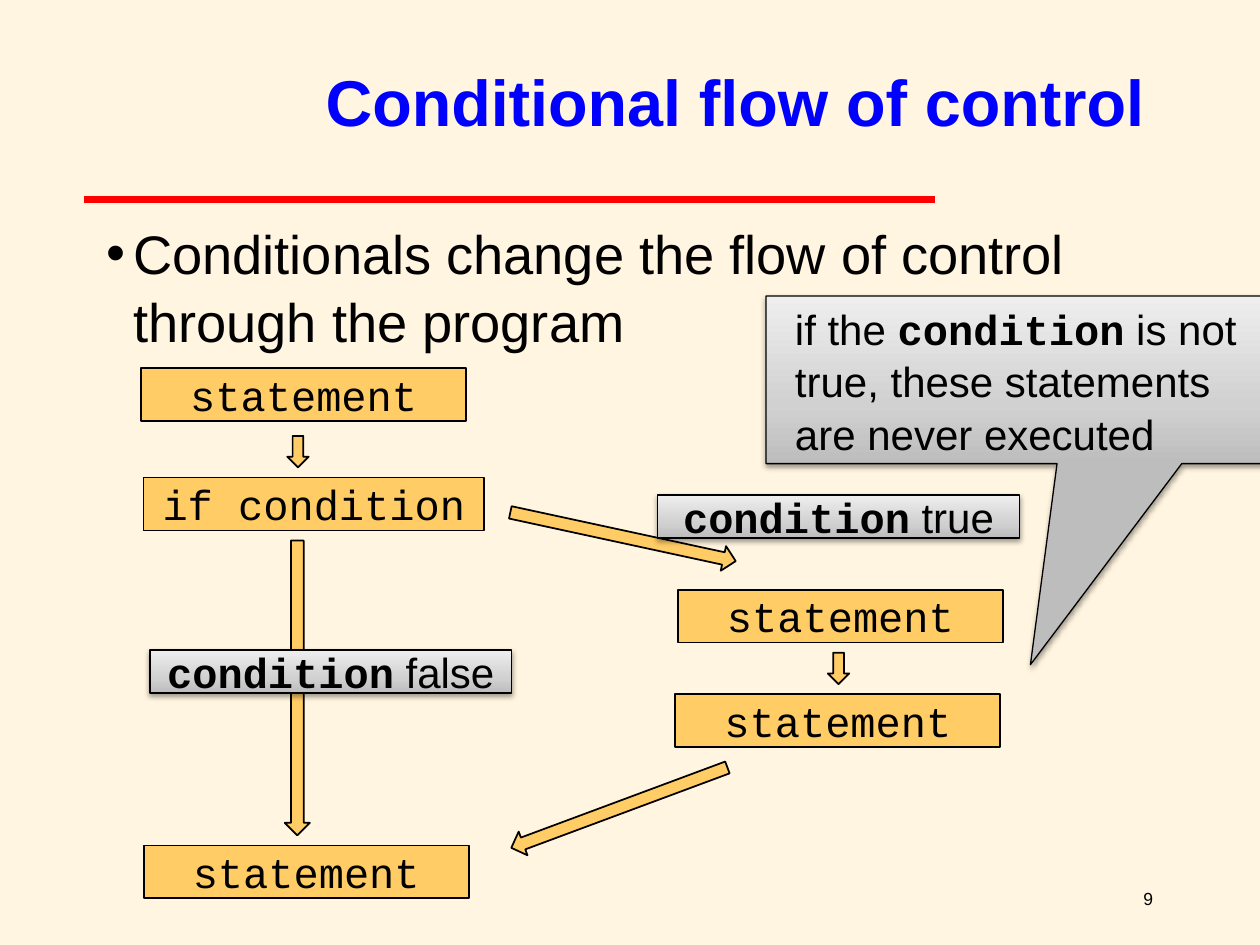
from lxml import etree
from pptx import Presentation
from pptx.dml.color import RGBColor
from pptx.enum.shapes import MSO_CONNECTOR, MSO_SHAPE
from pptx.enum.text import MSO_ANCHOR as Anchor, PP_ALIGN as Align
from pptx.oxml import parse_xml
from pptx.oxml.ns import nsdecls, qn
from pptx.util import Inches, Pt

COLORS = {
    "background": "FFF5E0",
    "rule": "FF0000",
    "title": "0000FF",
    "text": "000000",
    "flow": "FFCC66",
    "outline": "000000",
}
CALLOUT_STOPS = [(0, "BDBDBD"), (35, "D1D1D1"), (100, "EEEEEE")]
SANS, MONO = "Arial", "Courier New"


def color(name):
    return RGBColor.from_string(COLORS[name])


def write_text(frame, spans, size=24, tone="text", align=Align.CENTER,
               anchor=Anchor.MIDDLE, wrap=True, spacing=None):
    frame.word_wrap = wrap
    frame.vertical_anchor = anchor
    para = frame.paragraphs[0]
    para.alignment = align
    para.line_spacing = spacing
    for text, font, bold in spans:
        span = para.add_run()
        span.text = text
        span.font.name = font
        span.font.size = Pt(size)
        span.font.bold = bold
        span.font.color.rgb = color(tone)
    return para


def add_preset(page, kind, left, top, width, height, line_width=1):
    shape = page.shapes.add_shape(
        kind, Inches(left), Inches(top), Inches(width), Inches(height))
    shape.shadow.inherit = False
    shape.fill.solid()
    shape.fill.fore_color.rgb = color("flow")
    shape.line.color.rgb = color("outline")
    shape.line.width = Pt(line_width)
    return shape


def add_step(page, text, left, top, width=2.58):
    box = add_preset(page, MSO_SHAPE.RECTANGLE, left, top, width, 0.42)
    write_text(box.text_frame, [(text, MONO, False)])


def add_arrow(page, left, top, width, height, rotation):
    arrow = add_preset(page, MSO_SHAPE.RIGHT_ARROW, left, top, width, height)
    arrow.rotation = rotation


def add_callout(page, spans, left, top, width, height, tip, **text_format):
    callout = add_preset(page, MSO_SHAPE.RECTANGULAR_CALLOUT,
                         left, top, width, height, 0.75)
    callout.adjustments[0], callout.adjustments[1] = tip
    stops = "".join(
        f'<a:gs pos="{place * 1000}"><a:srgbClr val="{tone}"/></a:gs>'
        for place, tone in CALLOUT_STOPS)
    properties = callout.element.spPr
    properties.replace(properties.find(qn("a:solidFill")), parse_xml(
        f'<a:gradFill {nsdecls("a")} rotWithShape="1"><a:gsLst>{stops}</a:gsLst>'
        '<a:lin ang="16200000" scaled="1"/></a:gradFill>'))
    properties.find(qn("a:effectLst")).append(parse_xml(
        f'<a:outerShdw {nsdecls("a")} blurRad="{Pt(3.1)}" dist="{Pt(1.6)}" '
        'dir="5400000" rotWithShape="0"><a:srgbClr val="000000">'
        '<a:alpha val="38000"/></a:srgbClr></a:outerShdw>'))
    write_text(callout.text_frame, spans, **text_format)
    return callout


def add_rule(page):
    rule = page.shapes.add_connector(
        MSO_CONNECTOR.STRAIGHT, Inches(0.67), Inches(1.58), Inches(7.42), Inches(1.58))
    rule.line.color.rgb = color("rule")
    rule.line.width = Pt(4)
    etree.SubElement(rule.element.spPr, qn("a:effectLst"))


def add_title(page, text):
    title = page.shapes.title
    title.left, title.top = Inches(2.42), Inches(0.21)
    title.width, title.height = Inches(6.83), Inches(1.17)
    write_text(title.text_frame, [(text, SANS, True)], size=37, tone="title")


def add_text_box(page, text, left, top, width, height, **text_format):
    box = page.shapes.add_textbox(
        Inches(left), Inches(top), Inches(width), Inches(height))
    return write_text(box.text_frame, [(text, SANS, False)], **text_format)


def add_bullet(para, indent):
    properties = para._p.get_or_add_pPr()
    properties.set("marL", str(Inches(indent)))
    properties.set("indent", str(-Inches(indent)))
    etree.SubElement(properties, qn("a:buFont"), typeface=SANS)
    etree.SubElement(properties, qn("a:buChar"), char="•")


def main():
    deck = Presentation()
    deck.slide_width, deck.slide_height = Inches(10), Inches(7.5)
    page = deck.slides.add_slide(deck.slide_layouts[5])
    page.background.fill.solid()
    page.background.fill.fore_color.rgb = color("background")

    add_rule(page)
    add_title(page, "Conditional flow of control")
    point = add_text_box(
        page, "Conditionals change the flow of control through the program",
        0.75, 1.67, 8.5, 5.17, size=31, align=Align.LEFT, anchor=Anchor.TOP, spacing=1.05)
    add_bullet(point, 0.21)
    add_text_box(page, "9", 8.83, 6.92, 0.42, 0.42, size=10, align=Align.RIGHT, wrap=False)

    add_step(page, "if condition", 1.14, 3.79, 2.7)
    for left, top in [(1.12, 2.92), (1.14, 6.71), (5.38, 4.68), (5.36, 5.51)]:
        add_step(page, "statement", left, top)

    for arrow in [
        (2.24, 3.5, 0.25, 0.17, 90),
        (1.19, 5.36, 2.34, 0.2, 90),
        (6.53, 5.22, 0.25, 0.17, 90),
        (4.03, 4.16, 1.83, 0.2, 12.2),
        (4, 6.31, 1.83, 0.2, 159.6),
    ]:
        add_arrow(page, *arrow)

    condition = ("condition", MONO, True)
    for outcome, left, top in [(" true", 5.22, 3.93), (" false", 1.19, 5.16)]:
        add_callout(page, [condition, (outcome, SANS, False)],
                    left, top, 2.87, 0.34, (-0.5, -0.25))
    note = add_callout(
        page,
        [("if the ", SANS, False), condition,
         (" is not true, these statements are never executed", SANS, False)],
        6.08, 2.35, 3.96, 1.33, (0.03, 1.7), align=Align.LEFT, spacing=1.05)
    note.text_frame.margin_left = Inches(0.23)

    deck.save("out.pptx")


if __name__ == "__main__":
    main()
